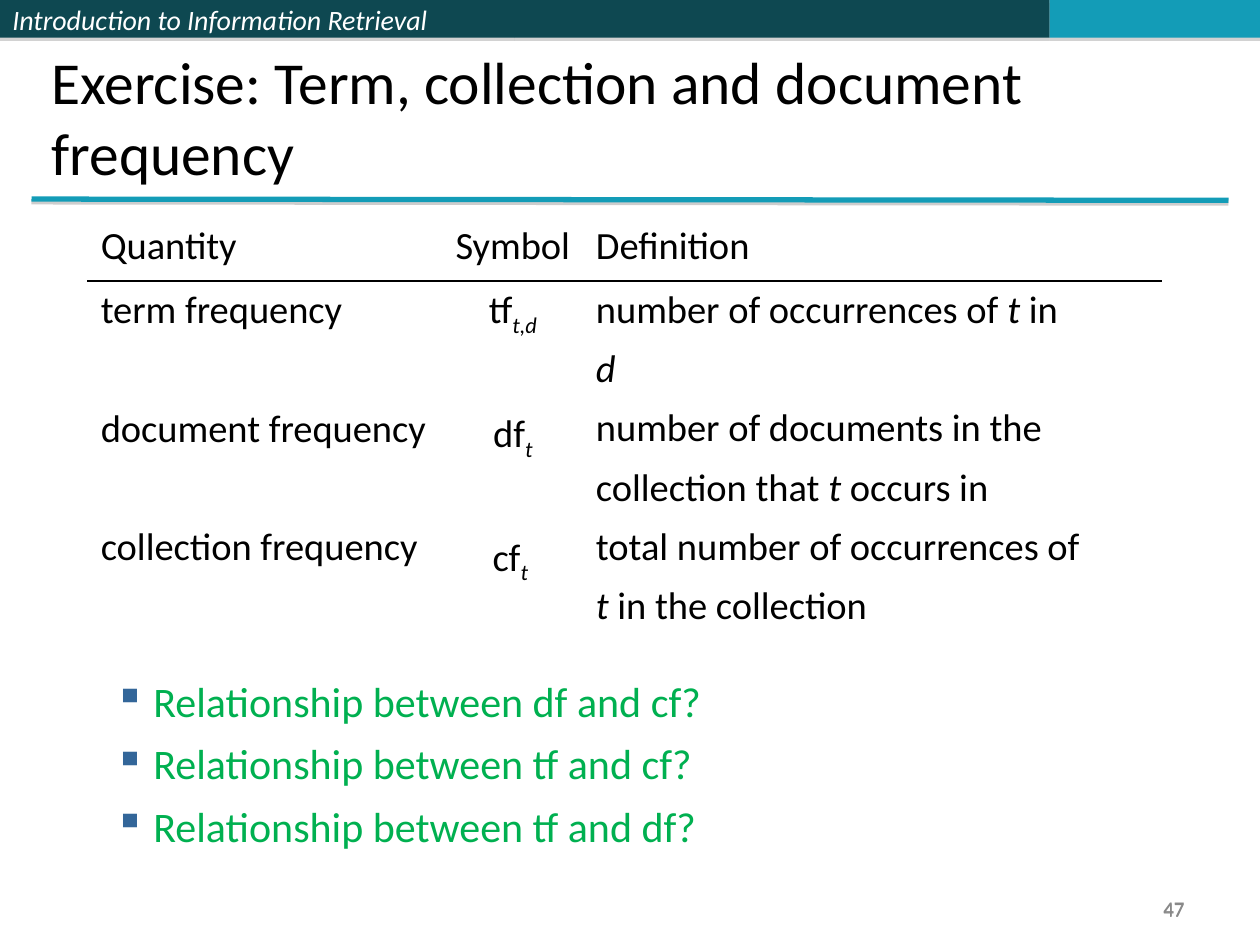
import pptx
import pptx.util
import pptx.dml.color
import pptx.enum.shapes
import pptx.enum.text
import pptx.oxml
import pptx.oxml.ns
import lxml.etree

Inches = pptx.util.Inches
Pt = pptx.util.Pt
RGBColor = pptx.dml.color.RGBColor
ALIGN = pptx.enum.text.PP_ALIGN
ANCHOR = pptx.enum.text.MSO_ANCHOR

DARK_TEAL = RGBColor(0x0E, 0x48, 0x51)
TEAL = RGBColor(0x13, 0x9C, 0xB7)
WHITE = RGBColor(0xFF, 0xFF, 0xFF)
BLACK = RGBColor(0, 0, 0)
GREY = RGBColor(0x89, 0x89, 0x89)
SHADOW_GREY = RGBColor(0x80, 0x80, 0x80)
GREEN = RGBColor(0x00, 0xB0, 0x50)
BULLET_BLUE = RGBColor(0x33, 0x66, 0x99)

LINE_GAP = 7
ENTRY_GAP = 40.9


def make_xml(tag, content="", **attributes):
    values = "".join(f' {key}="{value}"' for key, value in attributes.items())
    namespace = pptx.oxml.ns.nsdecls("a")
    return pptx.oxml.parse_xml(f"<a:{tag} {namespace}{values}>{content}</a:{tag}>")


def apply(target, formats):
    for key, value in formats.items():
        setattr(target, key, value)


def write(paragraph, runs, size, color, **paragraph_formats):
    apply(paragraph, paragraph_formats)
    for text, style in runs:
        run = paragraph.add_run()
        run.text = text
        apply(run.font, {"size": Pt(size), "name": "Calibri",
                         "italic": style in ("italic", "subscript"), "bold": False})
        run.font.color.rgb = color
        if style == "subscript":
            run.font._element.set("baseline", "-25000")


def write_lines(frame, lines, size, color, **paragraph_formats):
    for index, (gap, runs) in enumerate(lines):
        paragraph = frame.paragraphs[0] if index == 0 else frame.add_paragraph()
        if index:
            paragraph.space_before = Pt(gap)
        write(paragraph, runs, size, color, **paragraph_formats)


def add_shadow(shape, distance, opacity):
    properties = shape._element.spPr
    for effects in properties.findall(pptx.oxml.ns.qn("a:effectLst")):
        properties.remove(effects)
    properties.append(make_xml(
        "effectLst",
        f'<a:outerShdw blurRad="0" dist="{Pt(distance)}" dir="5400000">'
        f'<a:srgbClr val="{SHADOW_GREY}"><a:alpha val="{opacity * 1000}"/></a:srgbClr>'
        "</a:outerShdw>"))


def add_text_area(slide, left, top, width, height, anchor):
    frame = slide.shapes.add_textbox(
        Inches(left), Inches(top), Inches(width), Inches(height)).text_frame
    apply(frame, {"word_wrap": True, "vertical_anchor": anchor})
    return frame


def add_header(slide, left, top, height):
    sections = [(4.08, DARK_TEAL, "Introduction to Information Retrieval"),
                (4.25, DARK_TEAL, ""), (1.67, TEAL, "")]
    for width, color, course in sections:
        band = slide.shapes.add_shape(
            pptx.enum.shapes.MSO_SHAPE.RECTANGLE,
            Inches(left), Inches(top), Inches(width), Inches(height))
        band.fill.solid()
        band.fill.fore_color.rgb = color
        band.line.fill.background()
        add_shadow(band, 1.8, 35)
        if course:
            apply(band.text_frame, {"word_wrap": True, "vertical_anchor": ANCHOR.MIDDLE})
            write(band.text_frame.paragraphs[0], [(course, "italic")], 16, WHITE,
                  alignment=ALIGN.LEFT)
        left += width


def add_title(slide, left, top, width, height):
    frame = add_text_area(slide, left, top, width, height, ANCHOR.BOTTOM)
    write(frame.paragraphs[0],
          [("Exercise: Term, collection and document frequency", "")], 34, BLACK)
    rule = slide.shapes.add_connector(
        pptx.enum.shapes.MSO_CONNECTOR.STRAIGHT,
        Inches(0.25), Inches(top + height + 0.04), Inches(9.75), Inches(top + height + 0.05))
    rule.line.color.rgb = TEAL
    rule.line.width = Pt(3)
    add_shadow(rule, 1.6, 38)


def add_border(cell, tag, color):
    fill = f'<a:solidFill><a:srgbClr val="{color}"/></a:solidFill>'
    cell._tc.get_or_add_tcPr().insert(0, make_xml(tag, fill, w=Pt(1)))


def add_definitions(slide, left, top, width, height):
    headings = ["Quantity", "Symbol", "Definition"]
    quantities = [(ENTRY_GAP, [(name + " frequency", "")])
                  for name in ("term", "document", "collection")]
    symbols = [(ENTRY_GAP, [(name, ""), (index, "subscript")])
               for name, index in (("tf", "t,d"), ("df", "t"), ("cf", "t "))]
    definitions = [(LINE_GAP, runs) for runs in (
        [("number of occurrences of ", ""), ("t", "italic"), (" in", "")],
        [("d", "italic")],
        [("number of documents in the", "")],
        [("collection that", ""), (" t ", "italic"), ("occurs in", "")],
        [("total number of occurrences of", "")],
        [("t", "italic"), (" in the collection", "")])]
    rows = [[[(0, [(heading, "")])] for heading in headings],
            [quantities, symbols, definitions]]

    table = slide.shapes.add_table(
        2, 3, Inches(left), Inches(top), Inches(width), Inches(height)).table
    apply(table, {"first_row": False, "horz_banding": False})
    for column, column_width in zip(table.columns, (2.81, 1.12, 4.59)):
        column.width = Inches(column_width)
    header_height = 0.51
    for row, row_height in zip(table.rows, (header_height, height - header_height)):
        row.height = Inches(row_height)

    for row_index, entries in enumerate(rows):
        for column_index, lines in enumerate(entries):
            cell = table.cell(row_index, column_index)
            alignment = ALIGN.CENTER if column_index == 1 else ALIGN.LEFT
            write_lines(cell.text_frame, lines, 22, BLACK, alignment=alignment)
            if row_index:
                cell.fill.solid()
                cell.fill.fore_color.rgb = WHITE
                tint = cell._tc.tcPr.find(".//" + pptx.oxml.ns.qn("a:srgbClr"))
                lxml.etree.SubElement(tint, pptx.oxml.ns.qn("a:alpha"), val="20000")
            else:
                cell.fill.background()
            top_color, bottom_color = (BLACK, WHITE) if row_index else (WHITE, BLACK)
            add_border(cell, "lnB", bottom_color)
            add_border(cell, "lnT", top_color)


def add_questions(slide, left, top, width, height):
    frame = add_text_area(slide, left, top, width, height, ANCHOR.TOP)
    lines = [(LINE_GAP, [(f"Relationship between {pair}?", "")])
             for pair in ("df and cf", "tf and cf", "tf and df")]
    write_lines(frame, lines, 24, GREEN, level=1)
    for paragraph in frame.paragraphs:
        properties = paragraph._p.get_or_add_pPr()
        apply(properties, {})
        properties.set("marL", str(Inches(0.81)))
        properties.set("indent", str(Inches(-0.31)))
        properties.append(make_xml("buClr", f'<a:srgbClr val="{BULLET_BLUE}"/>'))
        properties.append(make_xml("buChar", char="▪"))


def add_page_number(slide, left, top, width, height):
    frame = add_text_area(slide, left, top, width, height, ANCHOR.MIDDLE)
    write(frame.paragraphs[0], [("47", "")], 12, GREY, alignment=ALIGN.RIGHT)


def main():
    deck = pptx.Presentation()
    apply(deck, {"slide_width": Inches(10), "slide_height": Inches(7.5)})
    slide = deck.slides.add_slide(deck.slide_layouts[6])
    add_header(slide, 0, 0, 0.3)
    add_title(slide, 0.31, 0.01, 9.69, 1.53)
    add_questions(slide, 0.31, 5.31, 9.06, 2.66)
    for top, height in ((7.08, 0.27), (7.06, 0.3)):
        add_page_number(slide, 7.17, top, 2.33, height)
    add_definitions(slide, 0.7, 1.72, 8.52, 3.36)
    deck.save("out.pptx")


if __name__ == "__main__":
    main()
